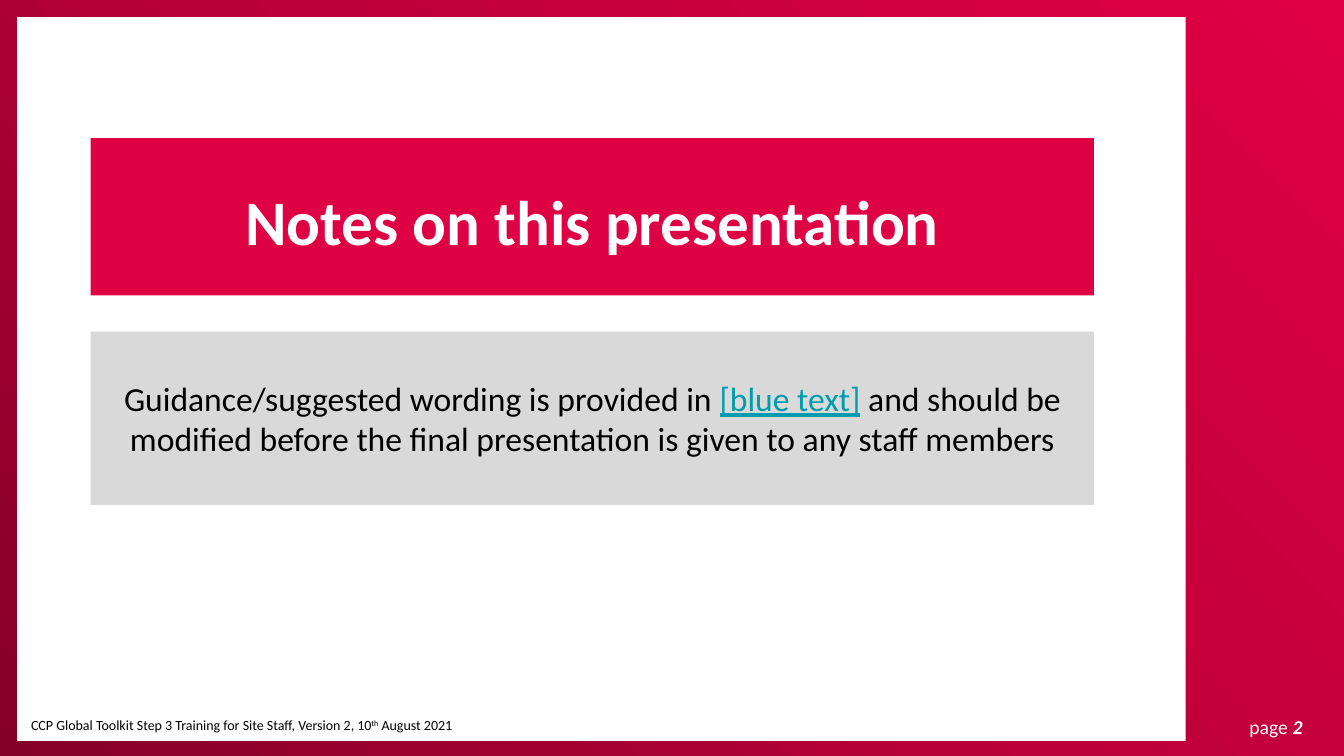
"""Build the slide with notes on the training presentation."""
from copy import deepcopy

from pptx import Presentation
from pptx.dml.color import RGBColor
from pptx.enum import shapes, text
from pptx.oxml import ns
from pptx.util import Inches, Pt

WHITE = RGBColor(0xFF, 0xFF, 0xFF)
BLACK = RGBColor(0, 0, 0)
CRIMSON = RGBColor(0xDE, 0x01, 0x44)
GREY = RGBColor(0xD9, 0xD9, 0xD9)
TEAL = RGBColor(0x00, 0x9C, 0xAD)
GRADIENT = [(0, RGBColor(0x84, 0x00, 0x28)),
            (50, RGBColor(0xBC, 0x00, 0x39)),
            (100, RGBColor(0xDF, 0x00, 0x44))]

WIDTH, HEIGHT = 13.33, 7.5
PANEL = (0.17, 0.17, 11.59, 7.18)
CARD_LEFT, CARD_WIDTH = 0.9, 9.95
CENTER, LEFT = text.PP_ALIGN.CENTER, text.PP_ALIGN.LEFT

TITLE = [("Notes on this presentation", {"bold": True})]
GUIDANCE = [
    ("Guidance/suggested wording is provided in ", {}),
    ("[blue text]", {"color": TEAL, "underline": True}),
    (" and should be modified before the final presentation is given to any staff members", {}),
]
PAGE_NUMBER = [("page ", {}), ("2", {"bold": True, "italic": True})]
FOOTER = [
    ("CCP Global Toolkit Step 3 Training for Site Staff, Version 2, 10", {}),
    ("th", {"raised": True}),
    (" August 2021", {}),
]


def place(box, left, top, width, height):
    """Move and size a box, in inches."""
    bounds = dict(left=left, top=top, width=width, height=height)
    for name, value in bounds.items():
        setattr(box, name, Inches(value))


def write(box, spans, size, color, align, insets, line_spacing=1.0):
    """Fill a box with one formatted paragraph."""
    frame = box.text_frame
    settings = dict(zip(("margin_left", "margin_top", "margin_right", "margin_bottom"),
                        map(Inches, insets)))
    settings.update(word_wrap=True, auto_size=text.MSO_AUTO_SIZE.NONE,
                    vertical_anchor=text.MSO_ANCHOR.MIDDLE)
    for name, value in settings.items():
        setattr(frame, name, value)
    para = frame.paragraphs[0]
    layout = {"alignment": align, "line_spacing": line_spacing, "space_before": Pt(0)}
    for name, value in layout.items():
        setattr(para, name, value)
    for words, changes in spans:
        span = para.add_run()
        span.text = words
        style = {"name": "Calibri", "size": Pt(size), "bold": False, **changes}
        span.font.color.rgb = style.pop("color", color)
        if style.pop("raised", False):
            span.font._element.set("baseline", "30000")
        for name, value in style.items():
            setattr(span.font, name, value)
    return para


def add_panel(page, bounds):
    """Add a rectangle without outline or shadow."""
    panel = page.shapes.add_shape(shapes.MSO_SHAPE.RECTANGLE, *map(Inches, bounds))
    panel.shadow.inherit = False
    panel.line.fill.background()
    return panel


def add_backdrop(page):
    """Add the diagonal gradient and the white panel."""
    backdrop = add_panel(page, (0, 0, WIDTH, HEIGHT))
    backdrop.fill.gradient()
    backdrop.fill.gradient_angle = 45
    stops = backdrop._element.spPr.find(".//" + ns.qn("a:gsLst"))
    stops.insert(1, deepcopy(stops[0]))
    for stop, (percent, color) in zip(backdrop.fill.gradient_stops, GRADIENT):
        stop.position = percent / 100
        stop.color.rgb = color
    panel = add_panel(page, PANEL)
    panel.fill.solid()
    panel.fill.fore_color.rgb = WHITE


def add_cards(page):
    """Format the title and body placeholders as filled cards above the backdrop."""
    title, body = page.placeholders
    for card, top, height, color in ((title, 1.37, 1.56, CRIMSON), (body, 3.29, 1.72, GREY)):
        place(card, CARD_LEFT, top, CARD_WIDTH, height)
        card.fill.solid()
        card.fill.fore_color.rgb = color
        page.shapes._spTree.append(card._element)
    write(title, TITLE, 45, WHITE, CENTER, (0, 0.16, 0, 0), 0.9)
    para = write(body, GUIDANCE, 24, BLACK, CENTER, (0.1, 0.05, 0.1, 0.05))
    props = para._p.get_or_add_pPr()
    for name in ("marL", "indent"):
        props.set(name, "0")
    props.append(props.makeelement(ns.qn("a:buNone"), {}))


def main():
    """Create and save the deck."""
    deck = Presentation()
    deck.slide_width, deck.slide_height = Inches(WIDTH), Inches(HEIGHT)
    page = deck.slides.add_slide(deck.slide_layouts[1])
    add_backdrop(page)
    add_cards(page)
    for bounds, *content in (
        ((12.13, 7.06, 1.05, 0.29), PAGE_NUMBER, 14, WHITE, CENTER, (0, 0, 0, 0)),
        ((0.21, 7.06, 4.57, 0.27), FOOTER, 10, BLACK, LEFT, (0.1, 0.05, 0.1, 0.05)),
    ):
        write(page.shapes.add_textbox(*map(Inches, bounds)), *content)
    deck.save("out.pptx")


if __name__ == "__main__":
    main()
